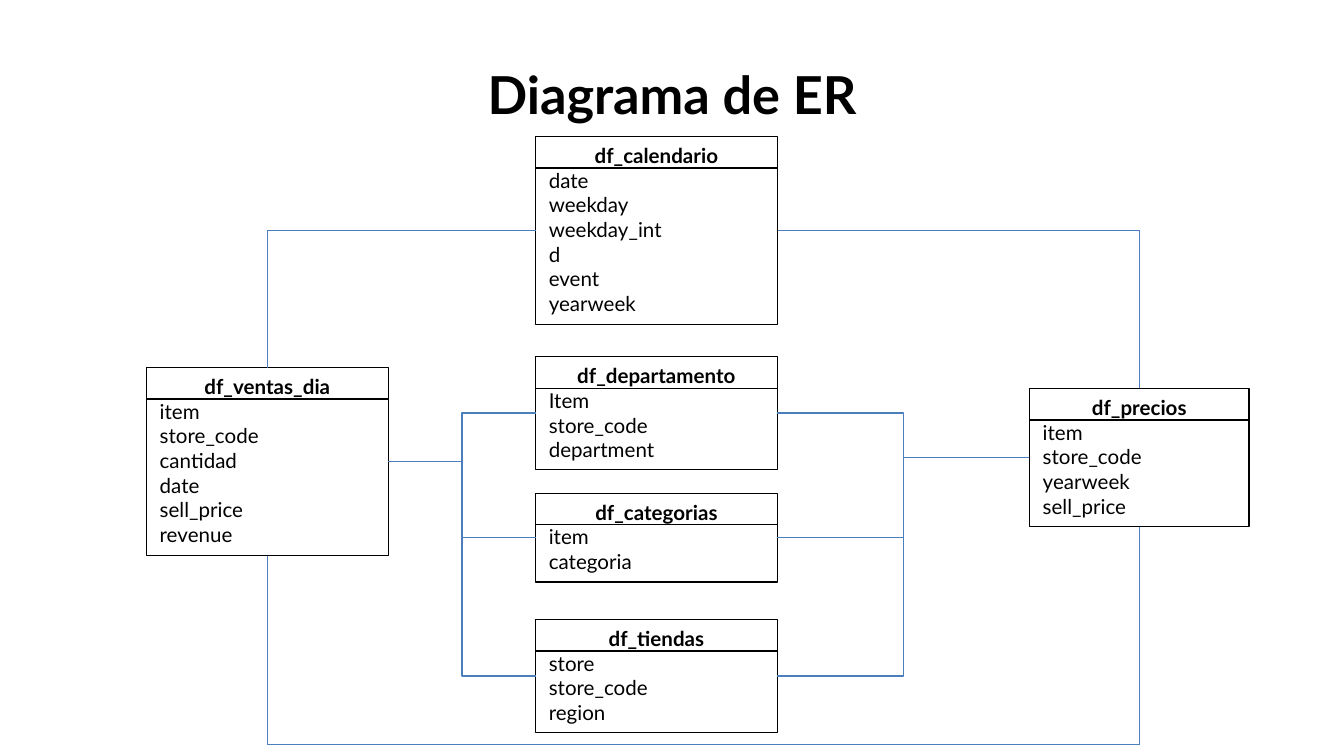
from lxml import etree
from pptx import Presentation
from pptx.dml.color import RGBColor
from pptx.enum.shapes import MSO_CONNECTOR as CONN, MSO_SHAPE as SHAPE
from pptx.enum.text import MSO_ANCHOR as ANCHOR, MSO_AUTO_SIZE as AUTO, PP_ALIGN as ALIGN
from pptx.oxml.ns import qn
from pptx.util import Emu, Pt

SCALE = 4572  # EMU per px, 200 px to the inch
TOP, LEFT, BOTTOM, RIGHT = range(4)


def px(n):
    return Emu(n * SCALE)


def rgb(value):
    return RGBColor.from_string(value)


class Diagram:
    font, ink, link_color = "Lato", "000000", "4B7EBC"
    title_size, text_size, line_width = 28, 11, 0.75
    header_height = 47

    def __init__(self, slide):
        self.s = slide

    def run(self, p, text, size, bold=False):
        r = p.add_run()
        r.text = text
        r.font.name, r.font.size, r.font.bold = self.font, Pt(size), bold
        r.font.color.rgb = rgb(self.ink)

    def stroke(self, sp, color):
        sp.line.color.rgb = rgb(color)
        sp.line.width = Pt(self.line_width)

    def title(self, text, x, y, w, h):
        sp = self.s.shapes.title
        sp.left, sp.top, sp.width, sp.height = map(px, (x, y, w, h))
        tf = sp.text_frame
        tf.vertical_anchor = ANCHOR.MIDDLE
        p = tf.paragraphs[0]
        p.alignment = ALIGN.CENTER
        self.run(p, text, self.title_size, True)

    def connector(self, shapes, kind, color, x1=0, y1=0, x2=0, y2=0):
        cxn = shapes.add_connector(kind, px(x1), px(y1), px(x2), px(y2))
        self.stroke(cxn, color)
        etree.SubElement(cxn._element.spPr, qn("a:effectLst"))
        return cxn

    def entity(self, name, fields, x, y, w, h):
        """Box with a bold heading, a divider and one field per line."""
        shapes = self.s.shapes.add_group_shape().shapes
        sp = shapes.add_shape(SHAPE.RECTANGLE, px(x), px(y), px(w), px(h))
        sp.shadow.inherit = False
        sp.fill.background()
        self.stroke(sp, self.ink)
        tf = sp.text_frame
        tf.word_wrap, tf.auto_size = True, AUTO.SHAPE_TO_FIT_TEXT
        tf.vertical_anchor = ANCHOR.TOP
        p = tf.paragraphs[0]
        p.alignment = ALIGN.CENTER
        self.run(p, name, self.text_size, True)
        for field in fields.split():
            p = tf.add_paragraph()
            p.alignment = ALIGN.LEFT
            self.run(p, field, self.text_size)
        divider = y + self.header_height
        self.connector(shapes, CONN.STRAIGHT, self.ink, x, divider, x + w, divider)
        return sp

    def link(self, start, start_side, end, end_side):
        cxn = self.connector(self.s.shapes, CONN.ELBOW, self.link_color)
        cxn.begin_connect(start, start_side)
        cxn.end_connect(end, end_side)
        return cxn

    def corner(self, start, start_side, end):
        """One bend: out of a side, then down into the top of the end box."""
        cxn = self.link(start, start_side, end, TOP)
        cxn._element.spPr.find(qn("a:prstGeom")).set("prst", "bentConnector2")

    def loop_below(self, start, end, depth):
        """Bottom to bottom, with the bend depth px below the start."""
        cxn = self.link(start, BOTTOM, end, BOTTOM)
        x1, y1, x2, y2 = cxn.begin_x, cxn.begin_y, cxn.end_x, cxn.end_y
        w, h = y2 - y1, x1 - x2  # size before the quarter turn
        cxn.left, cxn.top = Emu((x1 + x2 - w) // 2), Emu((y1 + y2 - h) // 2)
        cxn.width, cxn.height = Emu(w), Emu(h)
        spPr = cxn._element.spPr
        xfrm = spPr.find(qn("a:xfrm"))
        xfrm.attrib.pop("flipH", None)
        xfrm.set("rot", str(90 * 60000))
        guides = spPr.find(qn("a:prstGeom")).find(qn("a:avLst"))
        gd = etree.SubElement(guides, qn("a:gd"))
        gd.set("name", "adj1")
        gd.set("fmla", f"val {px(depth) * 100000 // w}")


def main():
    prs = Presentation()
    prs.slide_width, prs.slide_height = px(2000), px(1125)
    d = Diagram(prs.slides.add_slide(prs.slide_layouts[5]))
    d.title("Diagrama de ER", 100, 46, 1800, 188)

    # Entities
    mid, wide = 797, 360
    calendario = d.entity("df_calendario", "date weekday weekday_int d event yearweek",
                          mid, 203, wide, 280)
    precios = d.entity("df_precios", "item store_code yearweek sell_price",
                       1532, 578, 327, 206)
    ventas = d.entity("df_ventas_dia", "item store_code cantidad date sell_price revenue",
                      218, 547, wide, 280)
    tiendas = d.entity("df_tiendas", "store store_code region", mid, 922, wide, 168)
    categorias = d.entity("df_categorias", "item categoria", mid, 734, wide, 132)
    departamento = d.entity("df_departamento", "Item store_code department",
                            mid, 531, wide, 168)

    # Relations of the outer ring
    d.loop_below(precios, ventas, 324)
    d.corner(calendario, RIGHT, precios)
    d.corner(calendario, LEFT, ventas)

    # Relations of the middle column
    for outer, out_side, in_side in ((ventas, RIGHT, LEFT), (precios, LEFT, RIGHT)):
        for inner in (tiendas, categorias, departamento):
            d.link(outer, out_side, inner, in_side)

    prs.save("out.pptx")


if __name__ == "__main__":
    main()
